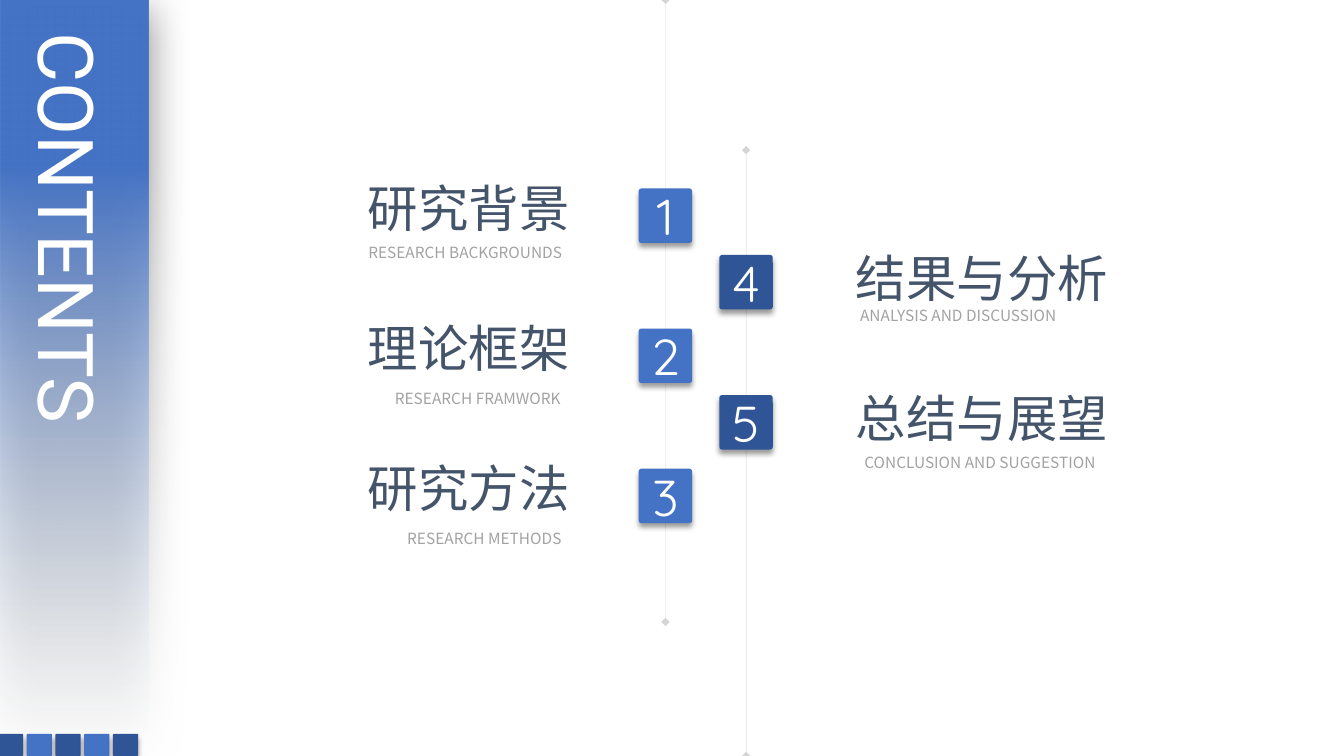
"""Build a contents slide: a vertical title band and five numbered chapters along two timelines."""
from lxml import etree
from pptx import Presentation, util as u
from pptx.dml.color import RGBColor
from pptx.enum import shapes, text
from pptx.oxml.ns import qn

W, H = 13.33, 7.5
COLORS = {"blue": "4472C4", "navy": "2F5597", "pale": "F7FAFD", "heading": "44546A",
          "caption": "A2A2A2", "line": "808080", "white": "FFFFFF", "shadow": "000000"}
CJK, LATIN, DIGIT = "Noto Sans CJK SC", "Roboto", "Quicksand"
TITLE = "CONTENTS"
TILE_W, TILE_H, ROW = 0.53, 0.54, 1.39
SQUARES, SQUARE_W, SQUARE_H, SQUARE_STEP = 5, 0.25, 0.22, 0.285
BAND_W = 1.47
TILE_SHADOW, BAND_SHADOW = (40, 4, 3, 90), (50, 31, 6, 97)
COLUMNS = [
    {"axis": 7.4, "span": (1.49, H), "top": 2.53, "color": "navy", "first": 4,
     "heading": (8.39, -0.13, 2.73), "chapters": [
         ("结果与分析", "ANALYSIS AND DISCUSSION", (8.34, 0.46, 2.33)),
         ("总结与展望", "CONCLUSION AND SUGGESTION", (8.38, 0.53, 2.68))]},
    {"axis": 6.6, "span": (0, 6.17), "top": 1.87, "color": "blue", "first": 1,
     "heading": (3.55, -0.16, 2.22), "chapters": [
         ("研究背景", "RESEARCH BACKGROUNDS", (3.5, 0.49, 2.23)),
         ("理论框架", "RESEARCH FRAMWORK", (3.76, 0.55, 1.96)),
         ("研究方法", "RESEARCH METHODS", (3.9, 0.55, 1.81))]},
]


def rgb(name):
    return RGBColor.from_string(COLORS[name])


def inches(*values):
    return [u.Inches(v) for v in values]


def add_xml(parent, tag, **attrs):
    return etree.SubElement(parent, qn(tag), {k: str(v) for k, v in attrs.items()})


def write(sp, words, size, font, color, align=text.PP_ALIGN.LEFT,
          anchor=text.MSO_ANCHOR.TOP, wrap=False):
    tf = sp.text_frame
    tf.word_wrap, tf.vertical_anchor = wrap, anchor
    tf.margin_left = tf.margin_right = u.Inches(0.1)
    tf.margin_top = tf.margin_bottom = u.Inches(0.05)
    p = tf.paragraphs[0]
    p.alignment = align
    r = p.add_run()
    r.text = words
    r.font.size, r.font.name = u.Pt(size), font
    r.font.color.rgb = rgb(color)
    add_xml(r.font.latin_parent if hasattr(r.font, "latin_parent") else
            p.runs[0]._r.get_or_add_rPr(), "a:ea", typeface=font)


def add_shadow(sp, opacity, blur, distance, angle):
    sp.shadow.inherit = False
    effects = sp.element.spPr.find(qn("a:effectLst"))
    shadow = add_xml(effects, "a:outerShdw", blurRad=u.Pt(blur), dist=u.Pt(distance),
                     dir=angle * 60000, algn="ctr", rotWithShape=0)
    color = add_xml(shadow, "a:srgbClr", val=COLORS["shadow"])
    add_xml(color, "a:alpha", val=opacity * 1000)


def add_tile(parent, x, y, w, h, color):
    sp = parent.add_shape(shapes.MSO_SHAPE.ROUNDED_RECTANGLE, *inches(x, y, w, h))
    sp.adjustments[0] = 0.05
    sp.fill.solid()
    sp.fill.fore_color.rgb = rgb(color)
    sp.line.fill.background()
    add_shadow(sp, *TILE_SHADOW)
    return sp


def add_axis(s, x, top, bottom):
    line = s.shapes.add_connector(shapes.MSO_CONNECTOR.STRAIGHT, *inches(x, top, x, bottom))
    line.line.width = u.Pt(0.25)
    line.line.color.rgb = rgb("line")
    ln = line.element.spPr.find(qn("a:ln"))
    add_xml(ln.find(".//" + qn("a:srgbClr")), "a:alpha", val=33000)
    for end in ("a:headEnd", "a:tailEnd"):
        add_xml(ln, end, type="diamond")
    add_xml(line.element.spPr, "a:effectLst")


def add_band(s):
    length = H - 0.04
    sp = s.shapes.add_shape(shapes.MSO_SHAPE.RECTANGLE, *inches(
        (BAND_W - length) / 2, (H - BAND_W) / 2 - 0.02, length, BAND_W))
    sp.rotation = 90
    sp.fill.gradient()
    sp.fill.gradient_angle = 180
    for stop, name, position in zip(sp.fill.gradient_stops, ("pale", "blue"), (0, 0.78)):
        stop.color.rgb, stop.position = rgb(name), position
    add_xml(sp.element.spPr.find(".//" + qn("a:srgbClr")), "a:alpha", val=0)
    sp.line.fill.background()
    add_shadow(sp, *BAND_SHADOW)


def add_title(s):
    title = s.shapes.title
    title.left, title.top, title.width, title.height = inches(0.12, 0.27, 1.13, 4.94)
    write(title, TITLE, 55, LATIN, "white", wrap=True)
    title.text_frame.auto_size = text.MSO_AUTO_SIZE.NONE
    title.element.find(".//" + qn("a:bodyPr")).set("vert", "eaVert")
    title.element.getparent().append(title.element)


def add_label(s, place, tile_top, height, words, size, color, align):
    x, offset, width = place
    box = s.shapes.add_textbox(*inches(x, tile_top + offset, width, height))
    write(box, words, size, CJK, color, align)


def add_chapters(s, column):
    for i, (heading, caption, place) in enumerate(column["chapters"]):
        top = column["top"] + i * ROW
        tile = add_tile(s.shapes, column["axis"] - TILE_W / 2, top, TILE_W, TILE_H,
                        column["color"])
        write(tile, str(column["first"] + i), 36, DIGIT, "white", text.PP_ALIGN.CENTER,
              text.MSO_ANCHOR.MIDDLE, wrap=True)
        add_label(s, column["heading"], top, 0.71, heading, 36, "heading", text.PP_ALIGN.LEFT)
        add_label(s, place, top, 0.29, caption, 11, "caption", text.PP_ALIGN.CENTER)


def main():
    prs = Presentation()
    prs.slide_width, prs.slide_height = inches(W, H)
    s = prs.slides.add_slide(prs.slide_layouts[5])
    for column in COLUMNS:
        add_axis(s, column["axis"], *column["span"])
    add_band(s)
    squares = s.shapes.add_group_shape()
    for i in range(SQUARES):
        add_tile(squares.shapes, -0.02 + i * SQUARE_STEP, H - SQUARE_H, SQUARE_W, SQUARE_H,
                 ("navy", "blue")[i % 2])
    add_title(s)
    for column in COLUMNS:
        add_chapters(s, column)
    prs.save("out.pptx")


if __name__ == "__main__":
    main()
